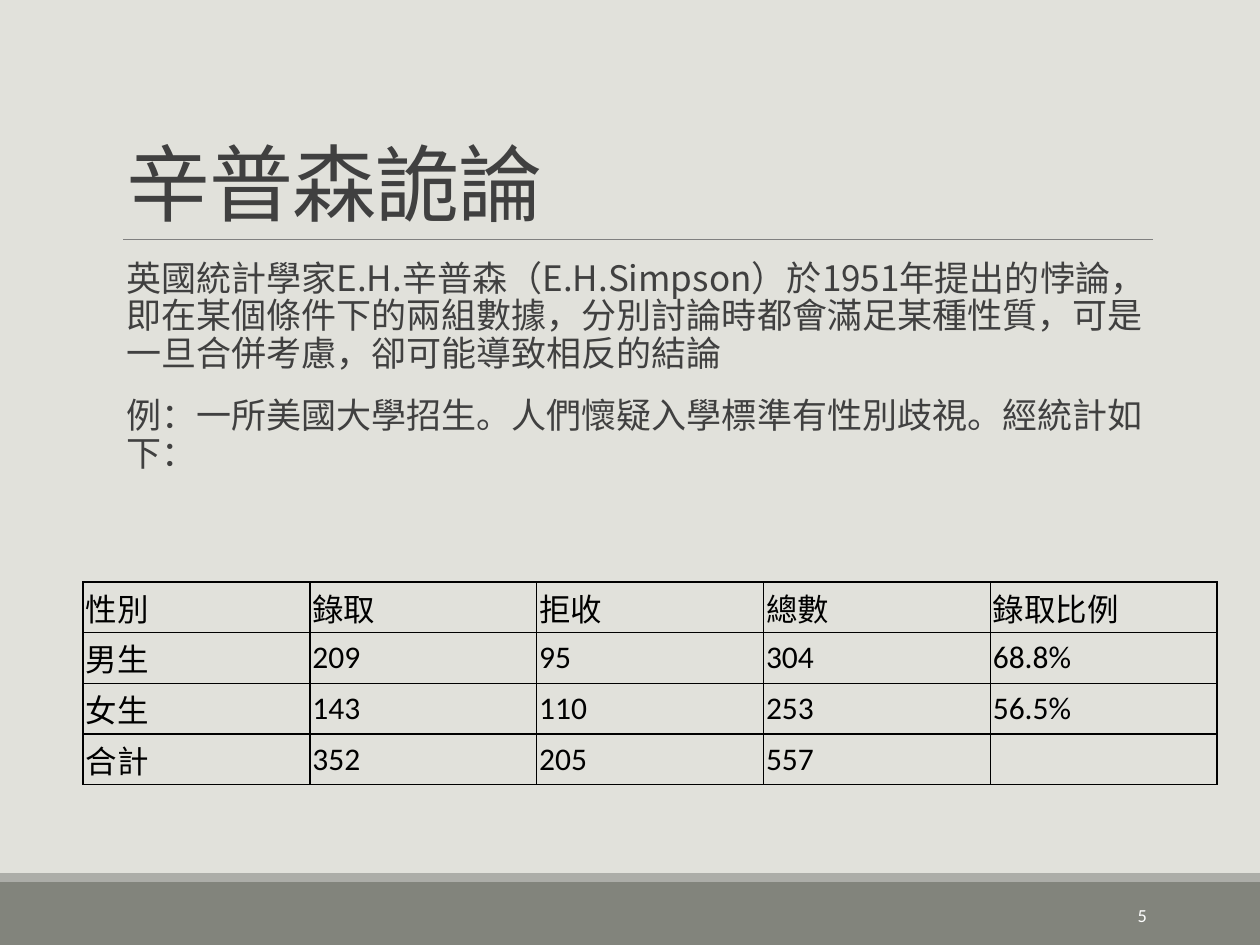
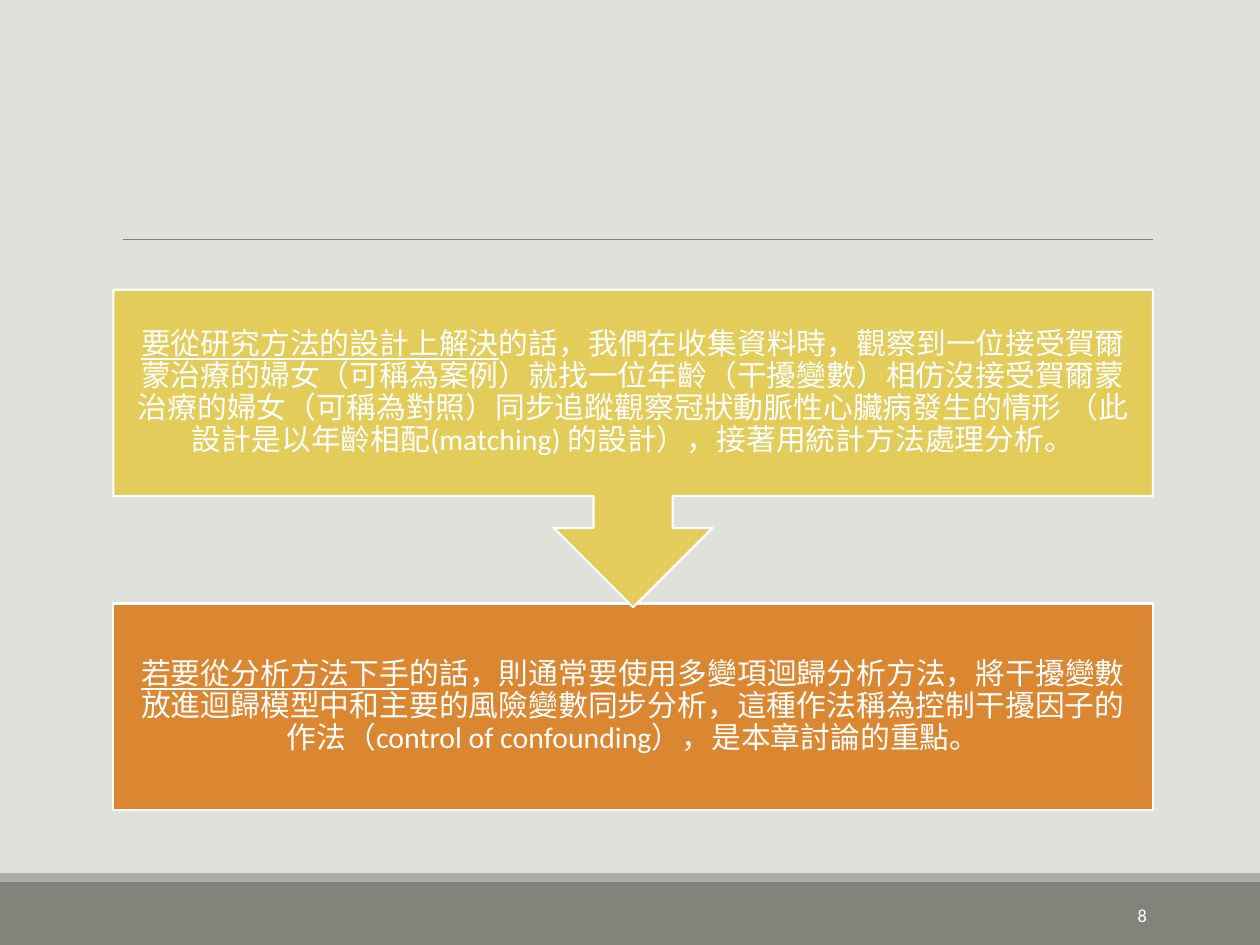
from lxml.etree import SubElement
from pptx import Presentation
from pptx.dml.color import RGBColor
from pptx.enum.shapes import MSO_CONNECTOR, MSO_SHAPE
from pptx.enum.text import MSO_ANCHOR, MSO_AUTO_SIZE, PP_ALIGN
from pptx.oxml import parse_xml
from pptx.oxml.ns import nsdecls, qn
from pptx.util import Inches, Pt

PAPER, BAND, STRIP, RULE = "E1E1DB", "82847C", "ACADA8", "808080"
INK, WHITE, BLACK = "404040", "FFFFFF", "000000"
GOLD, ORANGE = "E3CC5A", "DB8631"
CJK, LATIN = "Noto Sans CJK SC", "Calibri"
LEFT, WIDE = 0.9, 8.25


def hue(code):
    return RGBColor.from_string(code)


def write(frame, *texts, size, font=LATIN, color=WHITE, align=PP_ALIGN.LEFT,
          anchor=MSO_ANCHOR.MIDDLE, inset=(0.1, 0.05), lines=1.0, before=0,
          after=0, indent=0, track=0, under=""):
    """Fill a frame with paragraphs; `under` is an underlined opening of the first."""
    frame.word_wrap = True
    frame.auto_size = MSO_AUTO_SIZE.NONE
    frame.vertical_anchor = anchor
    frame.margin_left = frame.margin_right = Inches(inset[0])
    frame.margin_top = frame.margin_bottom = Inches(inset[1])
    for i, text in enumerate(texts):
        para = frame.add_paragraph() if i else frame.paragraphs[0]
        para.alignment = align
        para.line_spacing = lines
        para.space_before = Pt(before if i else 0)
        para.space_after = Pt(after)
        props = para._p.get_or_add_pPr()
        props.set("marL", str(Inches(indent)))
        props.set("indent", "0")
        SubElement(props, qn("a:buNone"))
        for part in ([under] if under and not i else []) + [text]:
            run = para.add_run()
            run.text = part
            run.font.size = Pt(size)
            run.font.name = font
            run.font.color.rgb = hue(color)
            if part == under:
                run.font.underline = True
            look = run._r.get_or_add_rPr()
            look.set("spc", str(int(track * 100)))
            look.find(qn("a:latin")).addnext(
                parse_xml(f'<a:ea {nsdecls("a")} typeface="{CJK}"/>'))


deck = Presentation()
deck.slide_width, deck.slide_height = Inches(10), Inches(7.5)
back = deck.slide_master.background.fill
back.solid()
back.fore_color.rgb = hue(PAPER)

# Bands, rule and page number on both slides
first = deck.slides.add_slide(deck.slide_layouts[1])
second = deck.slides.add_slide(deck.slide_layouts[6])
for slide, page in ((first, "5"), (second, "8")):
    for top, high, color in ((7, 0.5, BAND), (6.93, 0.07, STRIP)):
        band = slide.shapes.add_shape(
            MSO_SHAPE.RECTANGLE, 0, Inches(top), Inches(10), Inches(high))
        band.shadow.inherit = False
        band.fill.solid()
        band.fill.fore_color.rgb = hue(color)
        band.line.fill.background()
    rule = slide.shapes.add_connector(
        MSO_CONNECTOR.STRAIGHT, Inches(0.98), Inches(1.9), Inches(9.15), Inches(1.9))
    rule.line.color.rgb = hue(RULE)
    rule.line.width = Pt(0.5)
    SubElement(rule._element.spPr, qn("a:effectLst"))
    label = slide.shapes.add_textbox(Inches(8.12), Inches(7.06), Inches(1.08), Inches(0.4))
    write(label.text_frame, page, size=10.5, align=PP_ALIGN.RIGHT)

# Simpson's paradox: title, text and table
title, body = first.shapes.title, first.placeholders[1]
for box, top, high in ((title, 0.31, 1.59), (body, 2.02, 4.4)):
    box.left, box.top = Inches(LEFT), Inches(top)
    box.width, box.height = Inches(WIDE), Inches(high)
write(title.text_frame, "辛普森詭論", size=48, font=CJK, color=INK,
      anchor=MSO_ANCHOR.BOTTOM, lines=0.85, track=-0.5)
write(body.text_frame,
      "英國統計學家E.H.辛普森（E.H.Simpson）於1951年提出的悖論，即在某個條件下的兩組數據，"
      "分別討論時都會滿足某種性質，可是一旦合併考慮，卻可能導致相反的結論",
      "例：一所美國大學招生。人們懷疑入學標準有性別歧視。經統計如下：",
      size=20, font=CJK, color=INK, anchor=MSO_ANCHOR.TOP, inset=(0, 0.05),
      lines=0.9, before=12, after=2, indent=0.1)

rows = (
    ("性別", "錄取", "拒收", "總數", "錄取比例"),
    ("男生", "209", "95", "304", "68.8%"),
    ("女生", "143", "110", "253", "56.5%"),
    ("合計", "352", "205", "557", ""),
)
table = first.shapes.add_table(
    len(rows), len(rows[0]), Inches(0.66), Inches(4.62), Inches(9), Inches(1.37)).table
table.first_row = table.horz_banding = False
for r, row in enumerate(rows):
    for c, text in enumerate(row):
        cell = table.cell(r, c)
        write(cell.text_frame, text, size=18, color=BLACK)
        cell.vertical_anchor = MSO_ANCHOR.MIDDLE
        cell.margin_left = cell.margin_right = Inches(0.02)
        cell.margin_top = cell.margin_bottom = Inches(0.02)
        cell.fill.background()
        for i, side in enumerate(("lnL", "lnR", "lnT", "lnB")):
            cell._tc.get_or_add_tcPr().insert(i, parse_xml(
                f'<a:{side} {nsdecls("a")} w="{Pt(1)}"><a:solidFill>'
                f'<a:srgbClr val="{BLACK}"/></a:solidFill></a:{side}>'))

# Two ways to handle a confounder
steps = (
    (MSO_SHAPE.RECTANGLE, 4.79, 1.64, ORANGE, "若要從分析方法下手",
     "的話，則通常要使用多變項迴歸分析方法，將干擾變數放進迴歸模型中和主要的風險變數同步分析，"
     "這種作法稱為控制干擾因子的作法（control of confounding），是本章討論的重點。"),
    (MSO_SHAPE.DOWN_ARROW_CALLOUT, 2.3, 2.52, GOLD, "要從研究方法的設計上解決",
     "的話，我們在收集資料時，觀察到一位接受賀爾蒙治療的婦女（可稱為案例）就找一位年齡（干擾變數）"
     "相仿沒接受賀爾蒙治療的婦女（可稱為對照）同步追蹤觀察冠狀動脈性心臟病發生的情形 "
     "（此設計是以年齡相配(matching) 的設計），接著用統計方法處理分析。"),
)
for kind, top, high, color, lead, text in steps:
    step = second.shapes.add_shape(
        kind, Inches(LEFT), Inches(top), Inches(WIDE), Inches(high))
    step.shadow.inherit = False
    step.fill.solid()
    step.fill.fore_color.rgb = hue(color)
    step.line.color.rgb = hue(WHITE)
    step.line.width = Pt(1.25)
    write(step.text_frame, text, size=17, align=PP_ALIGN.CENTER,
          inset=(0.13, 0.13), lines=0.9, under=lead)

deck.save("out.pptx")
